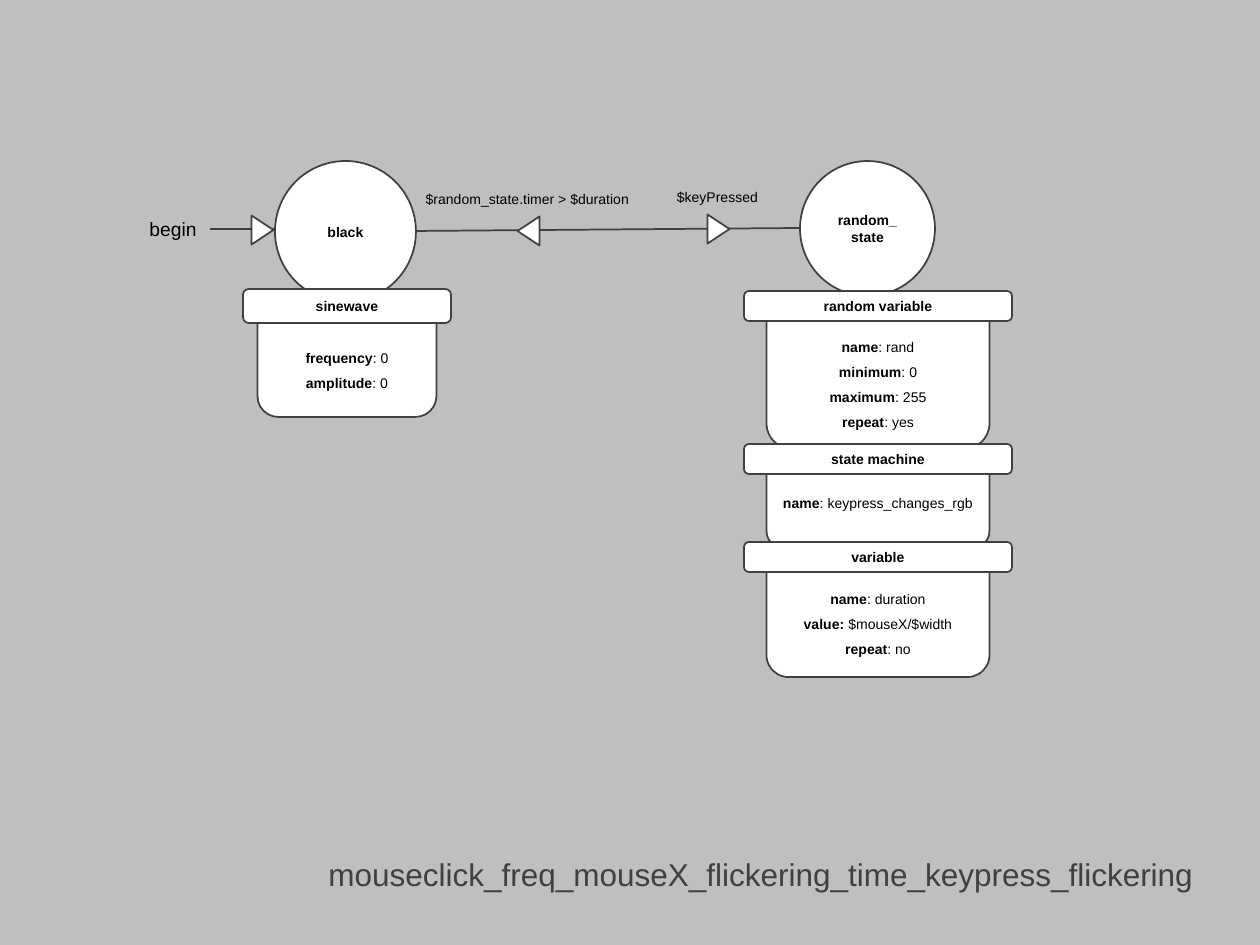
from pptx import Presentation
from pptx.dml.color import RGBColor
from pptx.enum.shapes import MSO_CONNECTOR, MSO_SHAPE
from pptx.enum.text import MSO_ANCHOR, MSO_AUTO_SIZE, PP_ALIGN
from pptx.oxml.ns import qn
from pptx.util import Pt
from lxml.etree import SubElement

PX = 914400 / 126
INK, WHITE, BLACK = "404040", "FFFFFF", "000000"


def write(box, paragraphs, size=8, color=BLACK, align=PP_ALIGN.CENTER,
          anchor=MSO_ANCHOR.TOP, spacing=1.5, wrap=True, grow=True):
    """Fill box with paragraphs, each a list of (text, bold); a \\v breaks the line."""
    frame = box.text_frame
    frame.word_wrap = wrap
    frame.vertical_anchor = anchor
    frame.auto_size = MSO_AUTO_SIZE.SHAPE_TO_FIT_TEXT if grow else MSO_AUTO_SIZE.NONE
    for number, parts in enumerate(paragraphs):
        para = frame.add_paragraph() if number else frame.paragraphs[0]
        para.alignment = align
        para.line_spacing = spacing
        para.space_before = Pt(0)
        for text, bold in parts:
            for row, piece in enumerate(text.split("\v")):
                if row:
                    para.add_line_break()
                span = para.add_run()
                span.text = piece
                span.font.name = "Arial"
                span.font.size = Pt(size)
                span.font.bold = bold
                span.font.color.rgb = RGBColor.from_string(color)


def draw(parent, kind, left, top, width, height, label=None, rotation=0):
    """Add a white outlined shape with an optional bold centred label."""
    shape = parent.shapes.add_shape(kind, *[round(v * PX) for v in (left, top, width, height)])
    shape.shadow.inherit = False
    shape.fill.solid()
    shape.fill.fore_color.rgb = RGBColor.from_string(WHITE)
    shape.line.color.rgb = RGBColor.from_string(INK)
    shape.line.width = Pt(1)
    shape.rotation = rotation
    if label:
        write(shape, [[(label, True)]], anchor=MSO_ANCHOR.MIDDLE, spacing=1, grow=False)


deck = Presentation()
deck.slide_width, deck.slide_height = round(1260 * PX), round(945 * PX)
page = deck.slides.add_slide(deck.slide_layouts[5])
page.background.fill.solid()
page.background.fill.fore_color.rgb = RGBColor.from_string("BFBFBF")

title = page.shapes.title
title.left, title.top, title.width, title.height = [round(v * PX) for v in (247, 830, 959, 67)]
write(title, [[("mouseclick_freq_mouseX_flickering_time_keypress_flickering", False)]],
      size=18, color=INK, align=PP_ALIGN.RIGHT)

# States and the entry arrow
draw(page, MSO_SHAPE.OVAL, 800, 161, 135, 135, "random_\vstate")
entry = page.shapes.add_group_shape()
begin = entry.shapes.add_textbox(*[round(v * PX) for v in (137, 211, 73, 36)])
write(begin, [[("begin", False)]], size=11, align=PP_ALIGN.LEFT, spacing=1, wrap=False)
entry_line = entry.shapes.add_connector(
    MSO_CONNECTOR.STRAIGHT, *[round(v * PX) for v in (210, 229, 275, 229)])
entry_line.begin_connect(begin, 3)
transition = page.shapes.add_connector(
    MSO_CONNECTOR.STRAIGHT, *[round(v * PX) for v in (416, 231, 800, 228)])
for line in (entry_line, transition):
    line.line.color.rgb = RGBColor.from_string(INK)
    line.line.width = Pt(1)
    SubElement(line._element.spPr, qn("a:effectLst"))
draw(page, MSO_SHAPE.OVAL, 275, 161, 141, 141, "black")

# Direction markers and transition conditions
for parent, left, top, rotation in [(entry, 248, 219, 90), (page, 704, 218, 90), (page, 514, 220, 270)]:
    draw(parent, MSO_SHAPE.ISOSCELES_TRIANGLE, left, top, 29, 22, rotation=rotation)
for text, left, top, width in [("$keyPressed", 611, 174, 213),
                               ("$random_state.timer > $duration", 404, 176, 247)]:
    box = page.shapes.add_textbox(*[round(v * PX) for v in (left, top, width, 37)])
    write(box, [[(text, False)]])

# Behaviour cards: heading, centre, top, heading size, body size, text top, fields
cards = [
    ("random variable", 878, 291, (268, 30), (223, 155), 324,
     [("name", ": rand"), ("minimum", ": 0"), ("maximum", ": 255"), ("repeat", ": yes")]),
    ("state machine", 878, 444, (268, 30), (223, 101), 480, [("name", ": keypress_changes_rgb")]),
    ("variable", 878, 542, (268, 30), (223, 132), 576,
     [("name", ": duration"), ("value:", " $mouseX/$width"), ("repeat", ": no")]),
    ("sinewave", 347, 289, (208, 34), (179, 125), 335, [("frequency", ": 0"), ("amplitude", ": 0")]),
]
for heading, centre, top, head_size, body_size, text_top, fields in cards:
    body_width = body_size[0]
    draw(page, MSO_SHAPE.ROUNDED_RECTANGLE, centre - body_width / 2, top + 3, *body_size)
    draw(page, MSO_SHAPE.ROUNDED_RECTANGLE, centre - head_size[0] / 2, top, *head_size, heading)
    box = page.shapes.add_textbox(*[round(v * PX) for v in (
        centre - body_width / 2, text_top, body_width, 12 + 25 * len(fields))])
    write(box, [[(key, True), (value, False)] for key, value in fields])

deck.save("out.pptx")
